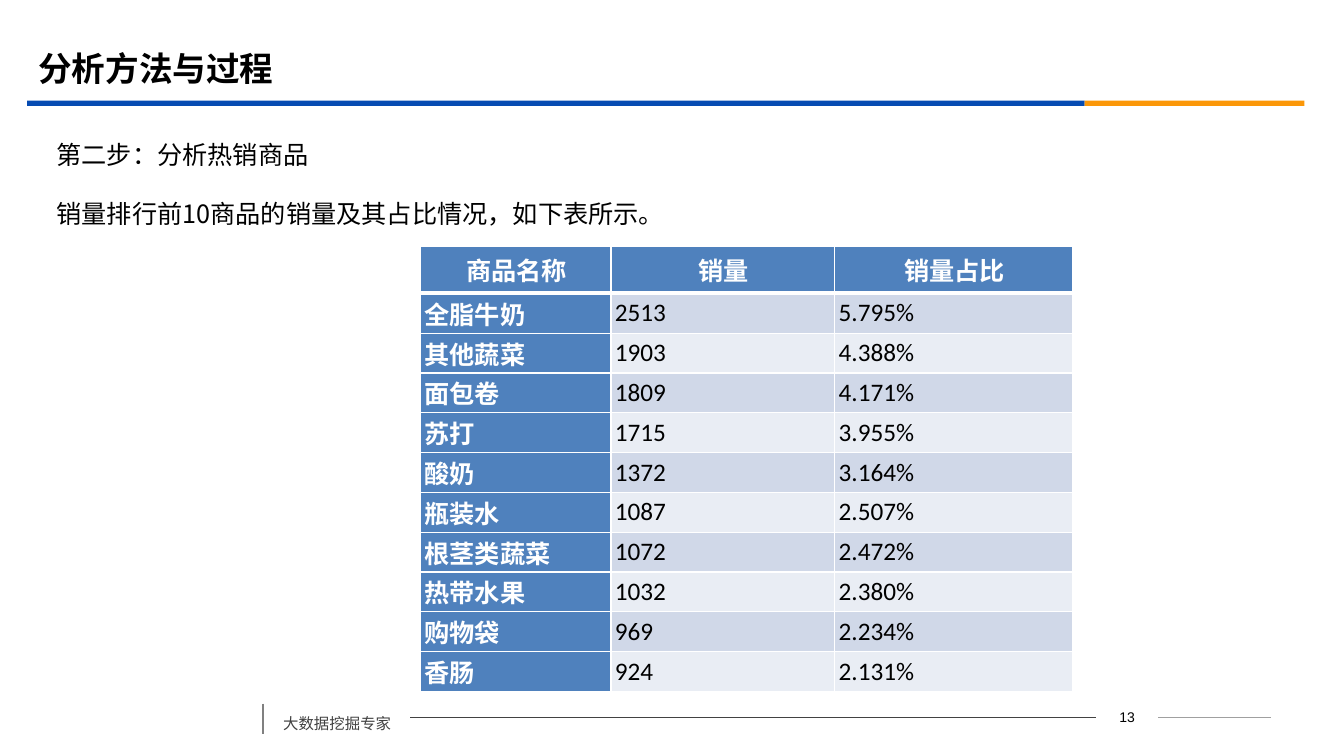
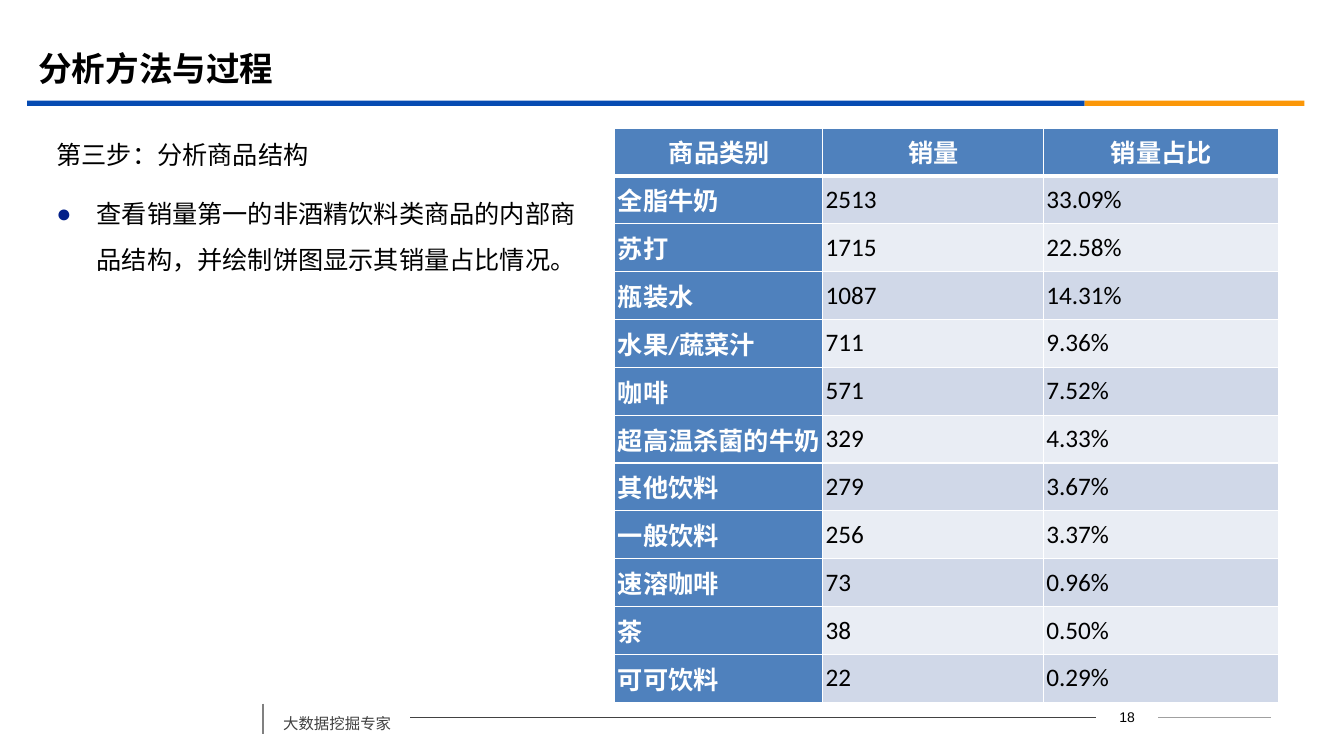
from lxml.etree import SubElement
from pptx import Presentation
from pptx.dml.color import RGBColor
from pptx.enum.shapes import MSO_CONNECTOR, MSO_SHAPE
from pptx.enum.text import MSO_ANCHOR, MSO_AUTO_SIZE, PP_ALIGN
from pptx.oxml.ns import qn
from pptx.util import Inches, Pt

WIDE, HIGH = Inches(13.333), Inches(7.5)
HAN, LATIN, PLAIN = "Noto Sans CJK SC", "Calibri", "Arial"
HUES = {
    "ink": "000000", "white": "FFFFFF", "blue": "064BB2", "gold": "FB9708",
    "foot": "404040", "rule": "424242", "pale": "A0A0A0", "bar": "808080",
    "head": "4F81BD", "odd": "D0D8E8", "even": "E9EDF4", "dot": "032089",
}

TOP_TEN = [
    ("商品名称", "销量", "销量占比"),
    ("全脂牛奶", "2513", "5.795%"),
    ("其他蔬菜", "1903", "4.388%"),
    ("面包卷", "1809", "4.171%"),
    ("苏打", "1715", "3.955%"),
    ("酸奶", "1372", "3.164%"),
    ("瓶装水", "1087", "2.507%"),
    ("根茎类蔬菜", "1072", "2.472%"),
    ("热带水果", "1032", "2.380%"),
    ("购物袋", "969", "2.234%"),
    ("香肠", "924", "2.131%"),
]
DRINKS = [
    ("商品类别", "销量", "销量占比"),
    ("全脂牛奶", "2513", "33.09%"),
    ("苏打", "1715", "22.58%"),
    ("瓶装水", "1087", "14.31%"),
    ("水果/蔬菜汁", "711", "9.36%"),
    ("咖啡", "571", "7.52%"),
    ("超高温杀菌的牛奶", "329", "4.33%"),
    ("其他饮料", "279", "3.67%"),
    ("一般饮料", "256", "3.37%"),
    ("速溶咖啡", "73", "0.96%"),
    ("茶", "38", "0.50%"),
    ("可可饮料", "22", "0.29%"),
]


# Lengths are percentages of the slide's width and height
def across(part):
    return round(WIDE * part / 100)


def down(part):
    return round(HIGH * part / 100)


def area(x, y, w, h):
    return across(x), down(y), across(w), down(h)


def hue(name):
    return RGBColor.from_string(HUES[name])


# Text
def add_run(para, text, size, tint="ink", bold=False, face=HAN):
    run = para.add_run()
    run.text = text
    font = run.font
    font.size, font.bold, font.name = Pt(size), bold, face
    font.color.rgb = hue(tint)
    SubElement(run._r.get_or_add_rPr(), qn("a:ea"), typeface=HAN)


def space(para, before):
    para.line_spacing = 1.5
    para.space_before = Pt(before)


def set_mark(para, mark):
    props = para._p.get_or_add_pPr()
    indent = Inches(0.4) if mark else 0
    props.set("marL", str(indent))
    props.set("indent", str(-indent))
    if mark:
        tint = SubElement(props, qn("a:buClr"))
        SubElement(tint, qn("a:srgbClr"), val=HUES["dot"])
        SubElement(props, qn("a:buFont"), typeface=PLAIN)
        SubElement(props, qn("a:buChar"), char=mark)
    else:
        SubElement(props, qn("a:buNone"))


def place(shape, box, anchor):
    shape.left, shape.top, shape.width, shape.height = box
    frame = shape.text_frame
    frame.word_wrap = True
    frame.auto_size = MSO_AUTO_SIZE.NONE
    frame.vertical_anchor = anchor
    return frame


def add_title(slide, text):
    frame = place(slide.shapes.title, area(2.1, 5.2, 90, 7.73),
                  MSO_ANCHOR.MIDDLE)
    para = frame.paragraphs[0]
    para.alignment = PP_ALIGN.LEFT
    add_run(para, text, 24, bold=True)


def add_body(slide, width, lines):
    frame = place(slide.placeholders[1], area(3.45, 15.73, width, 73.6),
                  MSO_ANCHOR.TOP)
    for i, (text, mark) in enumerate(lines):
        para = frame.add_paragraph() if i else frame.paragraphs[0]
        para.alignment = PP_ALIGN.LEFT
        space(para, 10)
        set_mark(para, mark)
        add_run(para, text, 18)


def add_label(slide, box, anchor):
    return place(slide.shapes.add_textbox(*box), box, anchor).paragraphs[0]


# Bands and rules
def add_band(slide, x, width, tint):
    band = slide.shapes.add_shape(MSO_SHAPE.RECTANGLE,
                                  *area(x, 13.33, width, 0.67))
    band.shadow.inherit = False
    band.fill.solid()
    band.fill.fore_color.rgb = hue(tint)
    band.line.fill.background()


def add_rule(slide, start, end, tint, weight):
    rule = slide.shapes.add_connector(
        MSO_CONNECTOR.STRAIGHT, across(start[0]), down(start[1]),
        across(end[0]), down(end[1]))
    rule.line.color.rgb = hue(tint)
    rule.line.width = Pt(weight)
    SubElement(rule._element.spPr, qn("a:effectLst"))


# Table
def set_edges(cell, row):
    props = cell._tc.get_or_add_tcPr()
    thick = {"lnT": row == 1, "lnB": row == 0}
    for side in ("lnL", "lnR", "lnT", "lnB"):
        width = Pt(3 if thick.get(side) else 1)
        edge = SubElement(props, qn("a:" + side), w=str(width))
        fill = SubElement(edge, qn("a:solidFill"))
        SubElement(fill, qn("a:srgbClr"), val=HUES["white"])


def fill_cell(cell, text, row, col, pad, align):
    strong = row == 0 or col == 0
    set_edges(cell, row)
    cell.fill.solid()
    cell.fill.fore_color.rgb = hue(
        "head" if strong else "odd" if row % 2 else "even")
    cell.margin_left, cell.margin_right = Inches(pad), Inches(0.02)
    cell.margin_top = cell.margin_bottom = 0
    cell.vertical_anchor = MSO_ANCHOR.MIDDLE
    para = cell.text_frame.paragraphs[0]
    para.alignment = align if row else PP_ALIGN.CENTER
    add_run(para, text, 18, "white" if strong else "ink", strong, LATIN)


def add_grid(slide, spot, cols, head, high, rows, pad, align):
    box = area(*spot, sum(cols), high)
    grid = slide.shapes.add_table(len(rows), len(cols), *box).table
    for col, width in zip(grid.columns, cols):
        col.width = across(width)
    step = (high - head) / (len(rows) - 1)
    for i, row in enumerate(rows):
        grid.rows[i].height = down(step if i else head)
        for j, text in enumerate(row):
            fill_cell(grid.cell(i, j), text, i, j, pad, align)


# Slide frame: title, bands, footer
def add_slide(deck, number):
    slide = deck.slides.add_slide(deck.slide_layouts[1])
    add_title(slide, "分析方法与过程")
    add_band(slide, 2.03, 78.68, "blue")
    add_band(slide, 80.71, 16.35, "gold")
    add_rule(slide, (19.58, 93.07), (19.58, 97.07), "bar", 1.25)
    add_rule(slide, (30.53, 94.93), (81.53, 94.93), "rule", 0.75)
    add_rule(slide, (86.18, 94.93), (94.58, 94.93), "pale", 0.75)
    foot = add_label(slide, area(20.33, 92.53, 10.2, 5.07), MSO_ANCHOR.TOP)
    space(foot, 6)
    add_run(foot, "大数据挖掘专家", 11, "foot")
    page = add_label(slide, area(81.53, 93.2, 4.65, 3.33), MSO_ANCHOR.MIDDLE)
    page.alignment = PP_ALIGN.CENTER
    add_run(page, str(number), 10, face=PLAIN)
    return slide


def main():
    deck = Presentation()
    deck.slide_width, deck.slide_height = WIDE, HIGH

    # Best sellers
    slide = add_slide(deck, 13)
    add_body(slide, 91.13, [
        ("第二步：分析热销商品", None),
        ("销量排行前10商品的销量及其占比情况，如下表所示。", None)])
    add_grid(slide, (31.28, 32.53), (14.18, 16.65, 17.7), 6.27, 58.93,
             TOP_TEN, 0.04, PP_ALIGN.LEFT)

    # Make-up of soft drinks
    slide = add_slide(deck, 18)
    add_body(slide, 41.55, [
        ("第三步：分析商品结构", None),
        ("查看销量第一的非酒精饮料类商品的内部商品结构，"
         "并绘制饼图显示其销量占比情况。", "●")])
    add_grid(slide, (45.75, 16.93), (15.45, 16.43, 17.48), 6.33, 76,
             DRINKS, 0.03, PP_ALIGN.JUSTIFY)

    deck.save("out.pptx")


if __name__ == "__main__":
    main()
